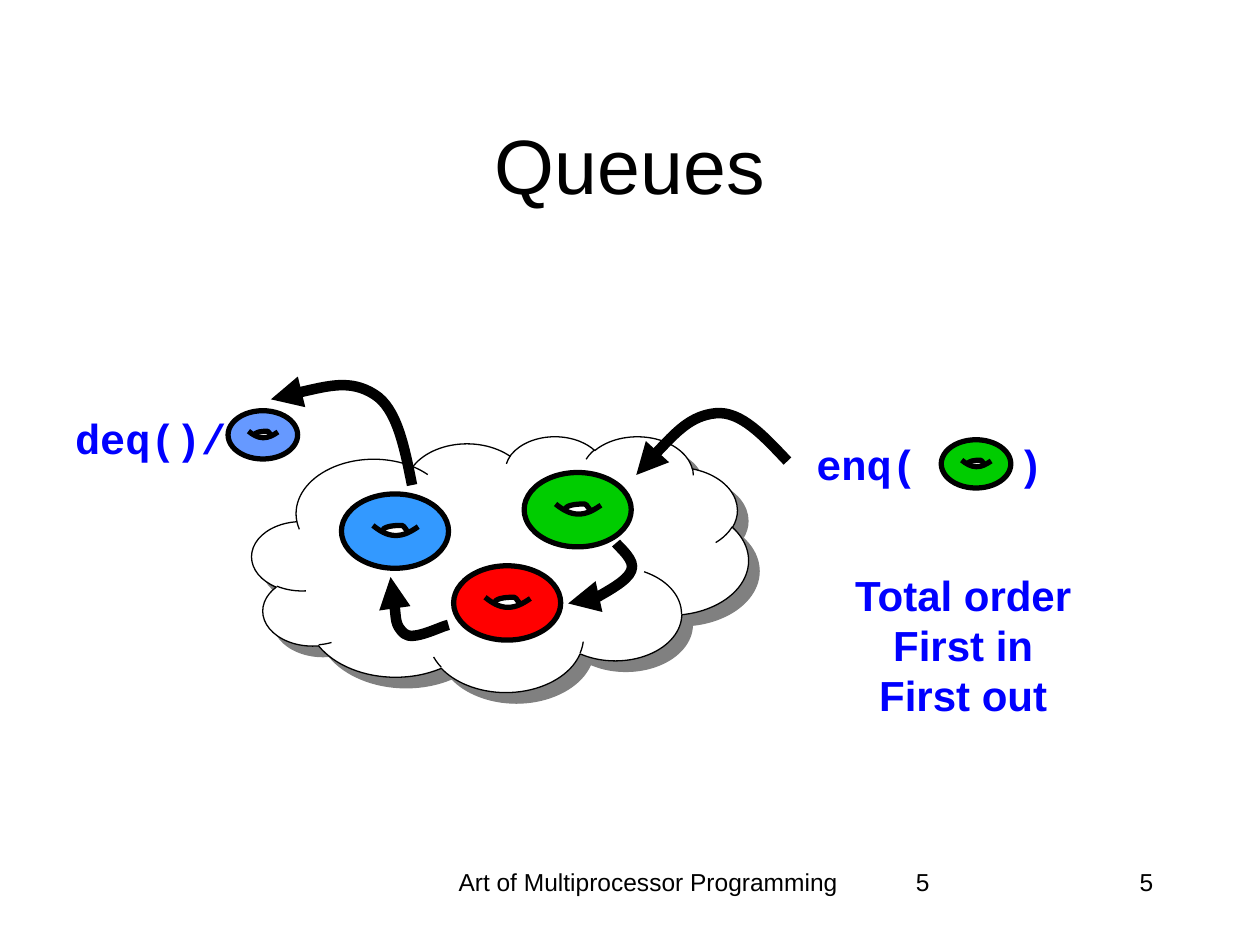
from dataclasses import dataclass
from typing import Any

from lxml import etree
from pptx import Presentation
from pptx.dml.color import RGBColor
from pptx.enum.shapes import MSO_SHAPE as SHAPE
from pptx.enum.text import MSO_ANCHOR as ANCHOR, PP_ALIGN as ALIGN
from pptx.oxml import parse_xml
from pptx.oxml.ns import nsdecls, qn
from pptx.util import Inches, Pt

BLACK, WHITE, BLUE, GREEN = "000000", "FFFFFF", "0000FF", "00CC00"

# Doughnut hole curves, in inches on a full-size doughnut
DOUGHNUT_W, DOUGHNUT_H = 0.85, 0.59
HOLE = [(0.32, 0.30), (0.37, 0.33), (0.39, 0.33), (0.45, 0.33),
        (0.48, 0.33), (0.50, 0.33), (0.53, 0.32),
        (0.51, 0.31), (0.51, 0.27), (0.48, 0.26),
        (0.42, 0.23), (0.32, 0.27), (0.32, 0.30)]
UPPER_RIM = [(0.32, 0.30), (0.33, 0.26), (0.40, 0.25), (0.48, 0.25),
             (0.50, 0.25), (0.52, 0.31), (0.54, 0.31)]
LOWER_RIM = [(0.25, 0.25), (0.30, 0.29), (0.36, 0.33), (0.43, 0.33),
             (0.50, 0.33), (0.55, 0.30), (0.61, 0.26)]


def color(hex_code):
    return RGBColor.from_string(hex_code)


def write(p, text, size=24, font="Arial", fill=BLUE, bold=False):
    r = p.add_run()
    r.text = text
    r.font.size = Pt(size)
    r.font.name = font
    r.font.bold = bold
    r.font.color.rgb = color(fill)


@dataclass
class Painter:
    s: Any
    line_color: str = BLACK

    def style(self, shape, fill, width):
        shape.shadow.inherit = False
        if fill:
            shape.fill.solid()
            shape.fill.fore_color.rgb = color(fill)
        else:
            shape.fill.background()
        shape.line.color.rgb = color(self.line_color)
        shape.line.width = Pt(width)

    def text(self, box, lines, align=ALIGN.CENTER, anchor=ANCHOR.TOP, wrap=True,
             top=0.05, tab=None, spacing=None, gap=0, **fmt):
        tf = self.s.shapes.add_textbox(*map(Inches, box)).text_frame
        tf.word_wrap = wrap
        tf.vertical_anchor = anchor
        tf.margin_top = Inches(top)
        for i, line in enumerate(lines):
            p = tf.add_paragraph() if i else tf.paragraphs[0]
            p.alignment = align
            if spacing:
                p.line_spacing = spacing
            if i:
                p.space_before = Pt(gap)
            if tab:
                tabs = etree.SubElement(p._p.get_or_add_pPr(), qn("a:tabLst"))
                etree.SubElement(tabs, qn("a:tab"), pos=str(Inches(tab)), algn="l")
            write(p, line, **fmt)

    def curve(self, points, width, fill=None, shapes=None):
        """Draw cubic Béziers: a start point, then three points per segment."""
        start, *rest = [(Inches(x), Inches(y)) for x, y in points]
        builder = (shapes or self.s.shapes).build_freeform(*start)
        builder.add_line_segments(rest, close=False)
        sp = builder.convert_to_shape()
        steps = list(sp._element.iter(qn("a:lnTo")))
        for i in range(0, len(steps), 3):
            bezier = etree.Element(qn("a:cubicBezTo"))
            steps[i].addprevious(bezier)
            for step in steps[i:i + 3]:
                bezier.append(step[0])
                step.getparent().remove(step)
        self.style(sp, fill, width)
        return sp

    def arrow(self, points):
        ln = self.curve(points, 6).line._get_or_add_ln()
        etree.SubElement(ln, qn("a:tailEnd"), type="triangle")

    def doughnut(self, x, y, fill, scale=1):
        shapes = self.s.shapes.add_group_shape().shapes
        ring = shapes.add_shape(SHAPE.OVAL, Inches(x), Inches(y),
                                Inches(DOUGHNUT_W * scale), Inches(DOUGHNUT_H * scale))
        self.style(ring, fill, 3)
        for points, hole_fill, width in ((HOLE, WHITE, 0.75), (UPPER_RIM, None, 3),
                                         (LOWER_RIM, None, 3)):
            placed = [(x + dx * scale, y + dy * scale) for dx, dy in points]
            self.curve(placed, width, hole_fill, shapes)

    def cloud(self, box):
        sp = self.s.shapes.add_shape(SHAPE.CLOUD, *map(Inches, box))
        self.style(sp, WHITE, 0.75)
        effects = sp._element.spPr.find(qn("a:effectLst"))
        effects.append(parse_xml(
            f'<a:outerShdw {nsdecls("a")} dist="{Pt(8.5)}" dir="2700000" algn="ctr" '
            'rotWithShape="0"><a:srgbClr val="808080"/></a:outerShdw>'))


def main():
    prs = Presentation()
    prs.slide_width, prs.slide_height = Inches(10), Inches(7.5)
    d = Painter(prs.slides.add_slide(prs.slide_layouts[6]))

    footer = dict(size=14, fill=BLACK)
    number_box = (7.17, 6.83, 2.08, 0.5)
    d.text((3.42, 6.83, 3.45, 0.5), ["Art of Multiprocessor Programming"], **footer)
    for align in (ALIGN.LEFT, ALIGN.RIGHT):
        d.text(number_box, ["5"], align, **footer)
    d.text((0.75, 0.67, 8.5, 1.25), ["Queues"], anchor=ANCHOR.MIDDLE, size=44, fill=BLACK)

    d.cloud((2, 3.46, 3.94, 2.03))
    d.doughnut(2.71, 3.92, "3399FF")
    d.doughnut(3.6, 4.49, "FF0000")
    d.doughnut(4.16, 3.75, GREEN)

    label = dict(spacing=0.8, top=0.1, bold=True)
    code = dict(label, font="Courier New")
    d.text((0.49, 3.25, 1.41, 0.42), ["deq()/"], wrap=False, **code)
    d.text((6.38, 3.46, 2.01, 0.42), ["enq(\t)"], ALIGN.LEFT, tab=1.6, **code)
    d.doughnut(7.47, 3.49, GREEN, 0.65)
    d.arrow([(4.89, 4.31), (4.91, 4.34), (5.05, 4.45), (5.01, 4.53),
             (4.98, 4.61), (4.77, 4.72), (4.69, 4.77),
             (4.61, 4.81), (4.58, 4.81), (4.51, 4.79)])
    d.arrow([(3.56, 4.96), (3.5, 4.97), (3.28, 5.09), (3.21, 5.03),
             (3.13, 4.96), (3.12, 4.68), (3.1, 4.58)])
    d.text((6.68, 4.5, 1.93, 1.23), ["Total order", "First in", "First out"],
           wrap=False, gap=5.5, **label)
    d.doughnut(1.81, 3.26, "6699FF", 0.65)
    d.arrow([(6.25, 3.66), (6.06, 3.46), (5.88, 3.26), (5.68, 3.28),
             (5.48, 3.3), (5.26, 3.53), (5.05, 3.77)])
    d.arrow([(3.27, 3.85), (3.21, 3.55), (3.15, 3.24), (2.97, 3.13),
             (2.78, 3.01), (2.46, 3.09), (2.15, 3.17)])

    prs.save("out.pptx")


if __name__ == "__main__":
    main()
